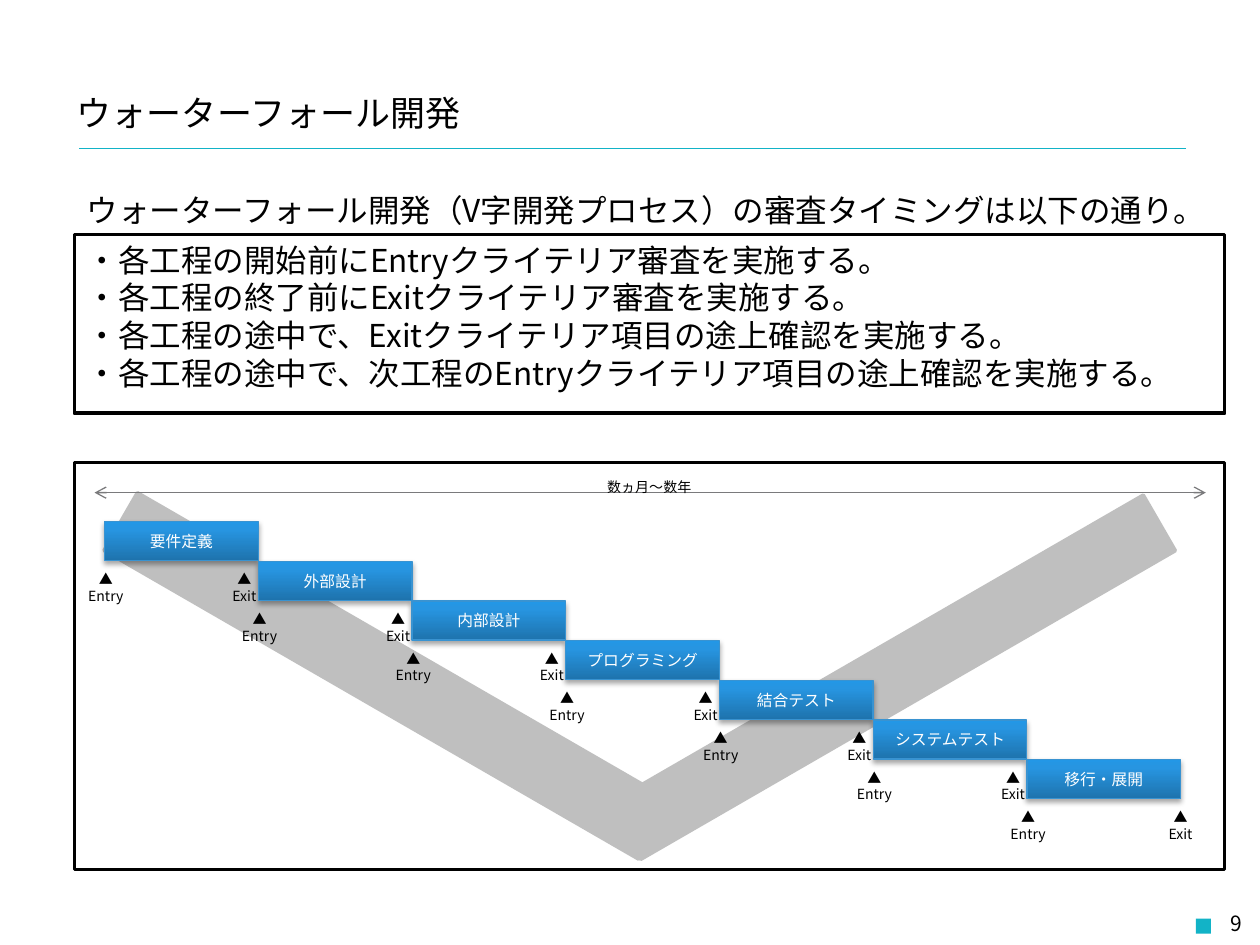
import pptx
import pptx.util
import pptx.dml.color
import pptx.enum.shapes
import pptx.enum.text
import pptx.oxml
import pptx.oxml.ns
import lxml.etree

Inches = pptx.util.Inches
Pt = pptx.util.Pt
ALIGN = pptx.enum.text.PP_ALIGN
ANCHOR = pptx.enum.text.MSO_ANCHOR
qn = pptx.oxml.ns.qn

FONT = "Noto Sans CJK JP"
BLACK, WHITE, GREY = "000000", "FFFFFF", "BFBFBF"
TEAL = "12B3C7"
STEP_GRADIENT = [(0, "1E73AD"), (80, "2795E1"), (100, "2397E6")]

PHASES = ["要件定義", "外部設計", "内部設計", "プログラミング",
          "結合テスト", "システムテスト", "移行・展開"]
RULES = ["・各工程の開始前にEntryクライテリア審査を実施する。",
         "・各工程の終了前にExitクライテリア審査を実施する。",
         "・各工程の途中で、Exitクライテリア項目の途上確認を実施する。",
         "・各工程の途中で、次工程のEntryクライテリア項目の途上確認を実施する。"]


def rgb(hex_color):
    return pptx.dml.color.RGBColor.from_string(hex_color)


def child(parent, tag, **attributes):
    element = lxml.etree.SubElement(parent, qn(tag))
    for name, value in attributes.items():
        element.set(name, str(value))
    return element


def write(shape, lines, size, color=BLACK, align=ALIGN.LEFT, anchor=ANCHOR.TOP):
    frame = shape.text_frame
    frame.text = "\n".join(lines)
    frame.vertical_anchor = anchor
    for paragraph in frame.paragraphs:
        paragraph.alignment = align
        paragraph.line_spacing = Pt(size * 1.2)
        for run in paragraph.runs:
            run.font.size = Pt(size)
            run.font.name = FONT
            run.font.color.rgb = rgb(color)
            child(run.font._element, "a:ea", typeface=FONT)


def add_label(slide, lines, left, top, width, height, size, align=ALIGN.LEFT):
    label = slide.shapes.add_textbox(
        Inches(left), Inches(top), Inches(width), Inches(height))
    write(label, lines, size, align=align)
    label.text_frame.word_wrap = False
    label.text_frame.auto_size = pptx.enum.text.MSO_AUTO_SIZE.SHAPE_TO_FIT_TEXT
    return label


def add_box(slide, left, top, width, height, fill=WHITE, line=BLACK,
            weight=2, rotation=0):
    box = slide.shapes.add_shape(
        pptx.enum.shapes.MSO_SHAPE.RECTANGLE,
        Inches(left), Inches(top), Inches(width), Inches(height))
    box.shadow.inherit = False
    box.rotation = rotation
    box.fill.solid()
    box.fill.fore_color.rgb = rgb(fill)
    if line:
        box.line.color.rgb = rgb(line)
        box.line.width = Pt(weight)
    else:
        box.line.fill.background()
    return box


def add_rule(slide, left, right, top, color, weight, arrows=False):
    rule = slide.shapes.add_connector(
        pptx.enum.shapes.MSO_CONNECTOR.STRAIGHT,
        Inches(left), Inches(top), Inches(right), Inches(top))
    rule.line.color.rgb = rgb(color)
    rule.line.width = Pt(weight)
    if arrows:
        outline = rule.line._get_or_add_ln()
        child(outline, "a:headEnd", type="arrow")
        child(outline, "a:tailEnd", type="arrow")
    child(rule._element.spPr, "a:effectLst")


def add_step(slide, phase, left, top, width, height):
    step = add_box(slide, left, top, width, height, line="3993D1", weight=0.75)
    step.fill.gradient()
    step.fill.gradient_angle = 90
    properties = step._element.spPr
    stops = properties.find(".//" + qn("a:gsLst"))
    for old_stop in list(stops):
        stops.remove(old_stop)
    for position, color in STEP_GRADIENT:
        stop = child(stops, "a:gs", pos=position * 1000)
        child(stop, "a:srgbClr", val=color)
    # Soft shadow straight below the step
    shadow = child(properties.find(qn("a:effectLst")), "a:outerShdw",
                   blurRad=Pt(3.1), dist=Pt(1.8), dir=90 * 60000, rotWithShape=0)
    child(child(shadow, "a:srgbClr", val=BLACK), "a:alpha", val=35000)
    write(step, [phase], 9, WHITE, ALIGN.CENTER, ANCHOR.MIDDLE)
    step.text_frame.word_wrap = False


def add_milestone(slide, name, center, top, width):
    add_label(slide, ["▲", name], center - width / 2, top, width, 0.37, 8,
              ALIGN.CENTER)


def add_title(slide, text):
    title = slide.shapes.title
    title.left, title.top = Inches(0.51), Inches(0.72)
    title.width, title.height = Inches(6.85), Inches(0.35)
    write(title, [text], 20, anchor=ANCHOR.MIDDLE)


def add_waterfall(slide):
    width, height, drop = 1.22, 0.31, 0.315
    first_left, first_top = 0.83, 4.14
    corners = [(first_left + i * width, first_top + i * drop)
               for i in range(len(PHASES))]
    for phase, (left, top) in zip(PHASES, corners):
        add_step(slide, phase, left, top, width, height)
    for left, top in corners:
        add_milestone(slide, "Entry", left + 0.01, top + 0.34, 0.49)
        # The last exit has no following step to make room for
        inset = 0 if (left, top) == corners[-1] else 0.11
        add_milestone(slide, "Exit", left + width - inset, top + 0.34, 0.42)


def main():
    presentation = pptx.Presentation()
    presentation.slide_width = Inches(10)
    presentation.slide_height = Inches(7.5)
    slide = presentation.slides.add_slide(presentation.slide_layouts[5])

    # Page furniture
    add_box(slide, 9.49, 7.29, 0.12, 0.12, fill=TEAL, line=None)
    add_rule(slide, 0.63, 9.41, 1.18, TEAL, 0.25)
    add_title(slide, "ウォーターフォール開発")
    page_number = add_label(slide, ["9"], 7.63, 7.13, 2.33, 0.4, 12, ALIGN.RIGHT)
    page_number.text_frame.word_wrap = True
    page_number.text_frame.auto_size = pptx.enum.text.MSO_AUTO_SIZE.NONE
    page_number.text_frame.vertical_anchor = ANCHOR.MIDDLE

    # Review timing rules
    add_label(slide, ["ウォーターフォール開発（V字開発プロセス）の審査タイミングは以下の通り。"],
              0.59, 1.47, 9.21, 0.4, 18)
    rules = add_box(slide, 0.59, 1.86, 9.13, 1.42)
    write(rules, RULES, 18)

    # V model behind the waterfall
    add_box(slide, 0.59, 3.67, 9.13, 3.23)
    add_box(slide, 4.63, 5.12, 4.9, 0.51, GREY, GREY, rotation=330)
    add_box(slide, 0.63, 5.1, 4.9, 0.53, GREY, GREY, rotation=30)

    # Duration and phases
    add_rule(slide, 0.75, 9.57, 3.91, "7A7A7C", 0.75, arrows=True)
    add_label(slide, ["数ヵ月～数年"], 4.72, 3.75, 0.88, 0.24, 8)
    add_waterfall(slide)

    presentation.save("out.pptx")


if __name__ == "__main__":
    main()
